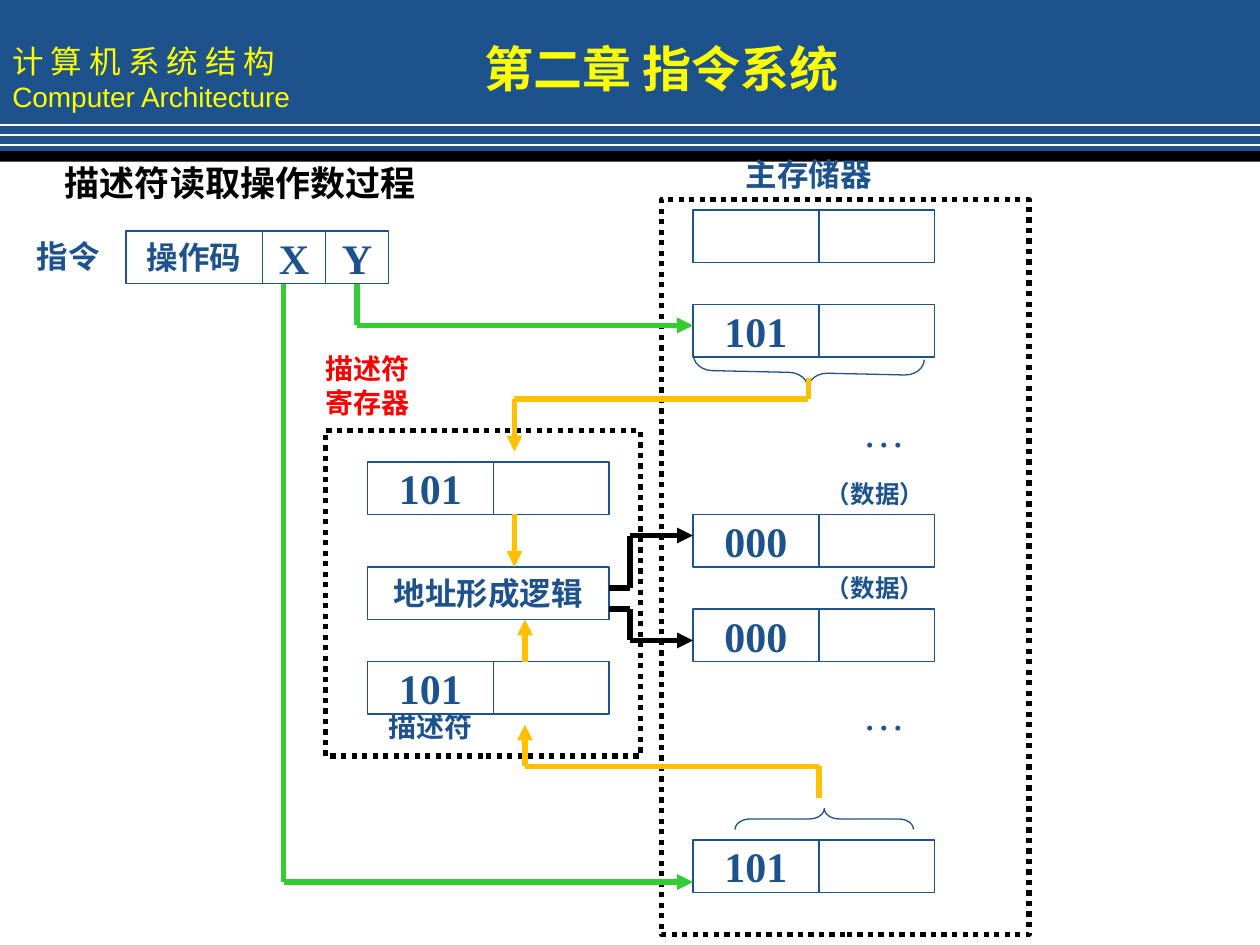
"""Build the slide on how a descriptor fetches its operands."""
from itertools import pairwise
from lxml import etree
from pptx import Presentation
from pptx.dml.color import RGBColor
from pptx.enum.dml import MSO_LINE
from pptx.enum.shapes import MSO_CONNECTOR, MSO_SHAPE
from pptx.enum.text import MSO_ANCHOR, PP_ALIGN
from pptx.oxml.ns import qn
from pptx.util import Inches, Pt

RECT, BRACE = MSO_SHAPE.RECTANGLE, MSO_SHAPE.LEFT_BRACE
STRAIGHT = MSO_CONNECTOR.STRAIGHT
DOT = MSO_LINE.ROUND_DOT
LEFT, MID = PP_ALIGN.LEFT, PP_ALIGN.CENTER
TOP, CORE = MSO_ANCHOR.TOP, MSO_ANCHOR.MIDDLE

WIDE, HIGH = 10, 7.5
COLS = 120
UNIT = WIDE / COLS

THEME = {
    "navy": "1D528D", "white": "FFFFFF", "black": "000000", "gold": "FFC000",
    "green": "33CC33", "red": "FF0000", "lemon": "FFFF00",
    "serif": "Times New Roman", "sans": "Arial", "han": "Noto Sans CJK SC",
    "thin": 0.75, "rule": 1, "thick": 3,
    "head": 28, "code": 24, "topic": 20, "body": 18, "note": 16, "small": 14,
}

COURSE = [("计 算 机 系 统 结 构", "body", "han"),
          ("Computer Architecture", "note", "sans")]
CHAPTER = "第二章 指令系统"
RULES = [11.9, 12.85, 13.8]

ROW = 5
PAIR = (12, 11)
ORDER = [(12, 13, "操作码", "body"), (25, 6, "X", "code"), (31, 6, "Y", "code")]
ORDER_TOP = 22
WORDS = {66: [(20, ""), (29, "101"), (49, "000"), (58, "000"), (80, "101")],
         35: [(44, "101"), (63, "101")]}
LOGIC = (35, 54, sum(PAIR), ROW)

LABELS = [
    ((5, 14.8, 50, 5.3), "描述符读取操作数过程", "topic", "black", LEFT),
    ((2, 22, 9, 4.8), "指令", "body", "navy", MID),
    ((29.5, 32.9, 11, 7.7), "描述符寄存器", "note", "red", MID),
    ((35, 67, 12, 4.4), "描述符", "note", "navy", MID),
    ((69, 14.2, 16, 4.8), "主存储器", "body", "navy", MID),
    ((77, 45, 12.7, 4.1), "（数据）", "small", "navy", MID),
    ((77, 54, 12.7, 4.1), "（数据）", "small", "navy", MID),
]
DOTS = [(81, 38, 5, 6), (81, 65, 5, 6)]
FRAMES = [(63, 19, 35, 70), (31, 41, 30, 31)]
BRACES = [((75.5, 24.5, 3, 22), 271.3), ((77.5, 69.5, 2, 17), 90)]
ROUTES = [
    ("green", [(34, 27), (34, 31), (66, 31)]),
    ("green", [(27, 27), (27, 84), (66, 84)]),
    ("gold", [(49, 49), (49, 54)]),
    ("gold", [(50, 63), (50, 59)]),
    ("gold", [(78, 76), (78, 73), (50, 73), (50, 69)]),
    ("gold", [(77, 36), (77, 38), (49, 38), (49, 43)]),
    ("black", [(58, 56), (60, 56), (60, 51), (66, 51)]),
    ("black", [(58, 58), (60, 58), (60, 61), (66, 61)]),
]
STUB = [(78, 34), (78, 32)]

deck = Presentation()
deck.slide_width, deck.slide_height = Inches(WIDE), Inches(HIGH)
slide = deck.slides.add_slide(deck.slide_layouts[6])
shapes = slide.shapes


def grid(spots):
    return [Inches(spot * UNIT) for spot in spots]


def tint(name):
    return RGBColor.from_string(THEME[name])


def form(item, values):
    for name, value in values.items():
        setattr(item, name, value)


def write(frame, lines, color, align=MID, anchor=CORE, wrap=False, bold=True):
    form(frame, {"word_wrap": wrap, "vertical_anchor": anchor})
    for index, (text, size, face) in enumerate(lines):
        para = frame.add_paragraph() if index else frame.paragraphs[0]
        para.alignment = align
        run = para.add_run()
        run.text = text
        form(run.font, {"size": Pt(THEME[size]), "name": THEME[face], "bold": bold})
        run.font.color.rgb = tint(color)
        props = run.font._element
        etree.SubElement(props, qn("a:ea"), typeface=THEME["han"])


def draw(area, fill=None, line=None, width="thin", dash=None, kind=RECT):
    shape = shapes.add_shape(kind, *grid(area))
    shape.shadow.inherit = False
    if fill:
        shape.fill.solid()
        shape.fill.fore_color.rgb = tint(fill)
    else:
        shape.fill.background()
    if line:
        shape.line.color.rgb = tint(line)
        form(shape.line, {"width": Pt(THEME[width]), "dash_style": dash})
    else:
        shape.line.fill.background()
    return shape


def cell(area, text="", size="code"):
    box = draw(area, "white", "navy")
    if text:
        write(box.text_frame, [(text, size, "serif")], "navy")


def label(area, text, size, color, align=MID, face="serif", anchor=TOP, bold=True):
    box = shapes.add_textbox(*grid(area))
    write(box.text_frame, [(text, size, face)], color, align, anchor, True, bold)


def link(start, end, color, width="thick", arrow=False):
    wire = shapes.add_connector(STRAIGHT, *grid(start + end))
    wire.line.color.rgb = tint(color)
    wire.line.width = Pt(THEME[width])
    if arrow:
        etree.SubElement(wire.line._get_or_add_ln(), qn("a:tailEnd"), type="triangle")
    etree.SubElement(wire._element.spPr, qn("a:effectLst"))


banner = draw((0, 0, COLS, 14.8), "navy")
write(banner.text_frame, COURSE, "lemon", LEFT, bold=False)
draw((0, 14.4, COLS, 1), "black")
for top in RULES:
    link((0, top), (COLS, top), "white", "rule")

for left, width, text, size in ORDER:
    cell((left, ORDER_TOP, width, ROW), text, size)
for left, rows in WORDS.items():
    for top, text in rows:
        cell((left, top, PAIR[0], ROW), text)
        cell((left + PAIR[0], top, PAIR[1], ROW))
cell(LOGIC, "地址形成逻辑", "body")

for area, turn in BRACES:
    brace = draw(area, line="navy", kind=BRACE)
    brace.rotation = turn
    brace.adjustments[0] = round(area[3] / 12 / area[2], 2)
link(*STUB, "navy", "thin")
for area in FRAMES:
    draw(area, line="black", width="thick", dash=DOT)
for color, stops in ROUTES:
    for start, end in pairwise(stops):
        link(start, end, color, arrow=end == stops[-1])

for entry in LABELS:
    label(*entry)
for area in DOTS:
    label(area, "…", "code", "navy", bold=False)
label((41, 3, 44, 7), CHAPTER, "head", "lemon", face="han", anchor=CORE)

deck.save("out.pptx")
